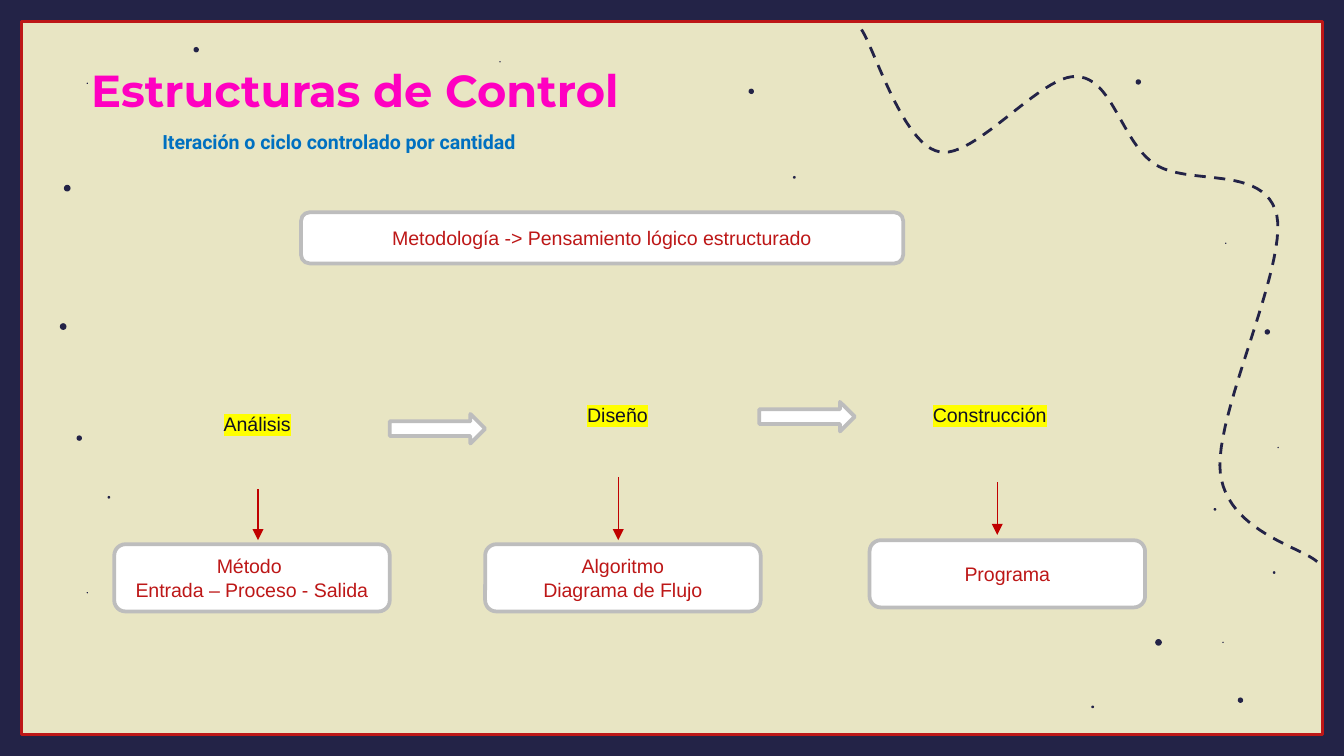
from lxml.etree import SubElement
from pptx import Presentation
from pptx.dml.color import RGBColor
from pptx.enum.dml import MSO_LINE
from pptx.enum.shapes import MSO_CONNECTOR, MSO_SHAPE
from pptx.enum.text import MSO_ANCHOR, MSO_AUTO_SIZE, PP_ALIGN
from pptx.oxml.ns import qn
from pptx.util import Inches, Pt

NAVY, SAND, RED, GREY, WHITE = "232347", "E8E5C3", "BD1717", "BDBDBD", "FFFFFF"
WIDTH, HEIGHT, BORDER = 10, 10 * 9 / 16, 0.16
BODY = {"size": Pt(10.5), "name": "Arial", "bold": False}
TRAIL_START = (6.41, 0.22)
TRAIL_CURVES = [
    ((6.51, 0.37), (6.72, 1.08), (6.99, 1.13)),
    ((7.25, 1.19), (7.75, 0.55), (8.01, 0.57)),
    ((8.28, 0.58), (8.34, 1.05), (8.59, 1.22)),
    ((8.84, 1.39), (9.41, 1.22), (9.5, 1.6)),
    ((9.58, 1.99), (9.03, 3.09), (9.08, 3.52)),
    ((9.13, 3.95), (9.68, 4.07), (9.8, 4.18)),
]
DOT_CENTERS = {
    0.05: [(8.62, 4.78), (0.5, 1.4), (0.47, 2.43)],
    0.04: [(5.59, 0.68), (9.23, 5.21), (9.43, 2.47), (0.59, 3.26),
           (8.47, 0.61), (1.46, 0.37)],
    0.02: [(0.81, 3.7), (9.04, 3.79), (5.91, 1.32), (9.48, 4.26), (8.13, 5.26)],
    0.01: [(9.1, 4.78), (9.12, 1.81), (3.72, 0.46), (0.65, 4.41),
           (9.51, 3.33), (0.65, 0.62)],
}


def color(value):
    """Turn a hex string into a colour."""
    return RGBColor.from_string(value)


def style(shape, fill=None, line=None, weight=2):
    """Set fill and outline, and take the shadow away."""
    shape.shadow.inherit = False
    for part, value in ((shape.fill, fill), (shape.line.fill, line)):
        if value:
            part.solid()
            part.fore_color.rgb = color(value)
        else:
            part.background()
    if line:
        shape.line.width = Pt(weight)


def add_figure(page, kind, place, **look):
    """Add a preset shape at left, top, width, height."""
    shape = page.shapes.add_shape(kind, *map(Inches, place))
    style(shape, **look)
    return shape


def write(shape, lines, text_color, font, align=PP_ALIGN.CENTER, highlight=None):
    """Write one paragraph for each line."""
    frame = shape.text_frame
    frame.word_wrap = True
    for index, line in enumerate(lines):
        para = frame.paragraphs[0] if index == 0 else frame.add_paragraph()
        para.alignment = align
        span = para.add_run()
        span.text = line
        for name, value in font.items():
            setattr(span.font, name, value)
        span.font.color.rgb = color(text_color)
        if highlight:
            properties = span.font._element
            mark = SubElement(properties, qn("a:highlight"))
            SubElement(mark, qn("a:srgbClr"), val=highlight)
            properties.find(qn("a:solidFill")).addnext(mark)


def add_heading(page, place, text, text_color, font, align):
    """Add a heading in a text box that grows with its text."""
    box = page.shapes.add_textbox(*map(Inches, place))
    write(box, [text], text_color, font, align)
    box.text_frame.auto_size = MSO_AUTO_SIZE.SHAPE_TO_FIT_TEXT


def add_card(page, place, *lines):
    """Add a white rounded box with red text."""
    card = add_figure(page, MSO_SHAPE.ROUNDED_RECTANGLE, place, fill=WHITE, line=GREY)
    card.text_frame.vertical_anchor = MSO_ANCHOR.MIDDLE
    write(card, lines, RED, BODY)


def add_stage(page, left, top, name):
    """Add an ellipse with a highlighted stage name."""
    stage = add_figure(page, MSO_SHAPE.OVAL, (left, top, 1.97, 0.97), fill=SAND, line=SAND)
    stage.text_frame.vertical_anchor = MSO_ANCHOR.MIDDLE
    write(stage, [name], "121224", BODY, highlight="FFFF00")


def add_down_arrow(page, x, top, bottom):
    """Add a thin vertical line with an arrowhead below."""
    arrow = page.shapes.add_connector(
        MSO_CONNECTOR.STRAIGHT, *map(Inches, (x, top, x, bottom)))
    arrow.line.color.rgb = color("C00000")
    arrow.line.width = Pt(0.75)
    SubElement(arrow.line._get_or_add_ln(), qn("a:tailEnd"), type="triangle")
    SubElement(arrow._element.spPr, qn("a:effectLst"))


def curve_points(start, curves, steps=24):
    """Return points along a chain of cubic curves."""
    points = []
    for first, second, end in curves:
        for step in range(1, steps + 1):
            t = step / steps
            weights = ((1 - t) ** 3, 3 * t * (1 - t) ** 2, 3 * t * t * (1 - t), t ** 3)
            corners = (start, first, second, end)
            points.append(tuple(
                Inches(sum(w * corner[axis] for w, corner in zip(weights, corners)))
                for axis in (0, 1)))
        start = end
    return points


def add_trail(page):
    """Add the dashed winding line."""
    builder = page.shapes.build_freeform(*map(Inches, TRAIL_START))
    builder.add_line_segments(curve_points(TRAIL_START, TRAIL_CURVES), close=False)
    trail = builder.convert_to_shape()
    style(trail, line=NAVY, weight=1.5)
    trail.line.dash_style = MSO_LINE.DASH


def add_backdrop(page):
    """Add the background, border, trail and dots."""
    page.background.fill.solid()
    page.background.fill.fore_color.rgb = color(SAND)
    for place in ((0, 0, WIDTH, BORDER), (0, HEIGHT - BORDER, WIDTH, BORDER),
                  (0, 0, BORDER, HEIGHT), (WIDTH - BORDER, 0, BORDER, HEIGHT)):
        add_figure(page, MSO_SHAPE.RECTANGLE, place, fill=NAVY)
    inside = (BORDER, BORDER, WIDTH - 2 * BORDER, HEIGHT - 2 * BORDER)
    add_figure(page, MSO_SHAPE.RECTANGLE, inside, line=RED, weight=1.5)
    add_trail(page)
    for size, centers in DOT_CENTERS.items():
        for x, y in centers:
            place = (x - size / 2, y - size / 2, size, size)
            add_figure(page, MSO_SHAPE.OVAL, place, fill=NAVY)


def main():
    """Build the slide and save it."""
    deck = Presentation()
    deck.slide_width, deck.slide_height = Inches(WIDTH), Inches(HEIGHT)
    page = deck.slides.add_slide(deck.slide_layouts[6])
    add_backdrop(page)
    add_heading(page, (0.58, 0.42, 5.09, 0.5), "Estructuras de Control", "FF00C1",
                {"size": Pt(24), "name": "Montserrat", "bold": True}, PP_ALIGN.LEFT)
    add_heading(page, (1.11, 0.92, 4.27, 0.28), "Iteración o ciclo controlado por cantidad",
                "0070C0", {"size": Pt(10.5), "name": "Roboto", "bold": True},
                PP_ALIGN.JUSTIFY)
    for stage in ((0.93, 2.67, "Análisis"), (3.61, 2.6, "Diseño"),
                  (6.38, 2.6, "Construcción")):
        add_stage(page, *stage)
    add_card(page, (2.24, 1.58, 4.48, 0.38), "Metodología -> Pensamiento lógico estructurado")
    for left, top in ((2.9, 3.08), (5.65, 2.99)):
        add_figure(page, MSO_SHAPE.RIGHT_ARROW, (left, top, 0.71, 0.22),
                   fill=WHITE, line=GREY)
    for left, top, *lines in ((0.85, 4.05, "Método ", "Entrada – Proceso - Salida"),
                              (3.61, 4.05, "Algoritmo", "Diagrama de Flujo"),
                              (6.47, 4.02, "Programa")):
        add_card(page, (left, top, 2.05, 0.5), *lines)
    for ends in ((1.92, 3.64, 4.02), (4.6, 3.55, 4.02), (7.42, 3.59, 3.98)):
        add_down_arrow(page, *ends)
    deck.save("out.pptx")


if __name__ == "__main__":
    main()
